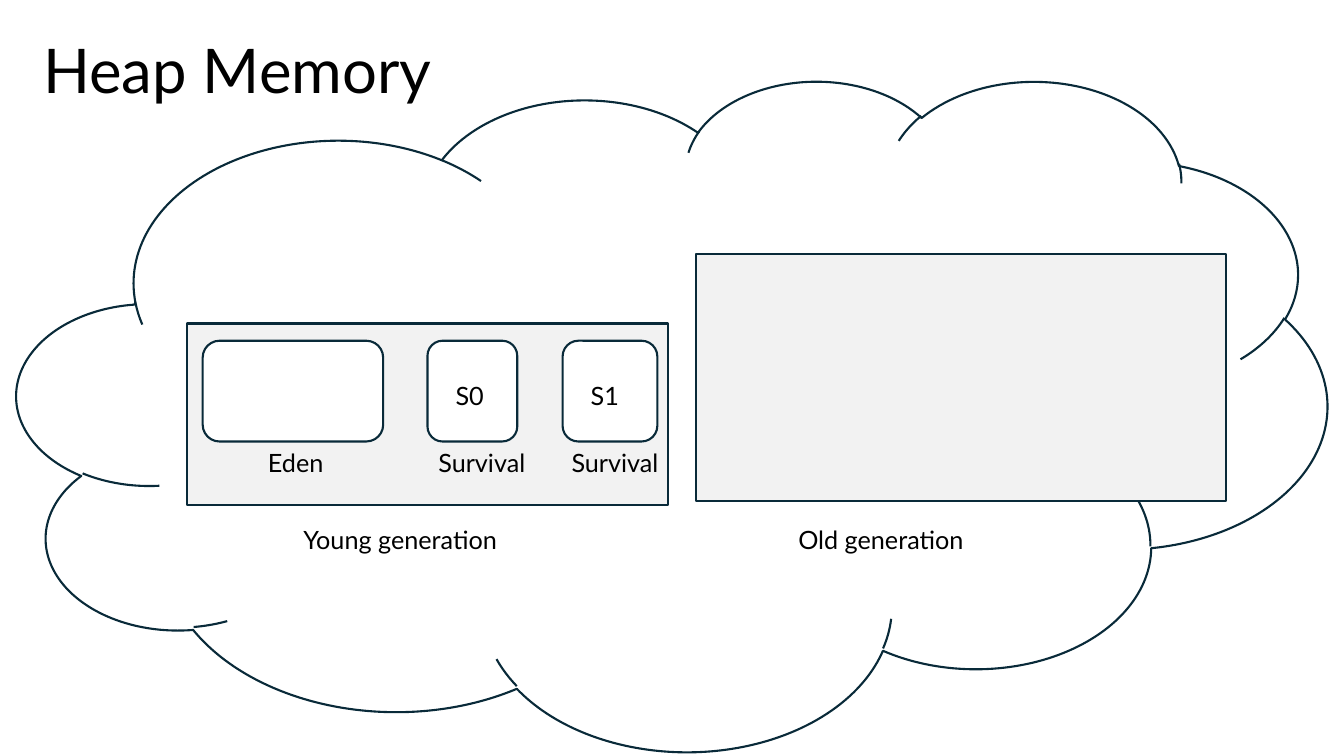
from dataclasses import dataclass

import pptx
import pptx.dml.color
import pptx.enum.shapes
import pptx.enum.text
import pptx.util

SHAPES = pptx.enum.shapes.MSO_SHAPE
ANCHORS = pptx.enum.text.MSO_ANCHOR


@dataclass(frozen=True)
class Theme:
    font: str = "Lato"
    text: str = "000000"
    outline: str = "092A39"
    paper: str = "FFFFFF"
    region: str = "F2F2F2"
    title_size: int = 44
    label_size: int = 18
    outline_width: float = 1.5


class SlideBuilder:
    GRID_COLUMNS = 100
    GRID_ROWS = 100

    def __init__(self, presentation, theme):
        self.theme = theme
        self.column = presentation.slide_width / self.GRID_COLUMNS
        self.row = presentation.slide_height / self.GRID_ROWS
        self.slide = presentation.slides.add_slide(presentation.slide_layouts[6])

    def place(self, left, top, width, height):
        return (
            round(left * self.column),
            round(top * self.row),
            round(width * self.column),
            round(height * self.row),
        )

    def color(self, value):
        return pptx.dml.color.RGBColor.from_string(value)

    def outlined(self, kind, box, fill):
        shape = self.slide.shapes.add_shape(kind, *self.place(*box))
        shape.shadow.inherit = False
        shape.fill.solid()
        shape.fill.fore_color.rgb = self.color(fill)
        shape.line.color.rgb = self.color(self.theme.outline)
        shape.line.width = pptx.util.Pt(self.theme.outline_width)

    def text(self, content, box, size, anchor=ANCHORS.TOP, line_spacing=1.0):
        frame = self.slide.shapes.add_textbox(*self.place(*box)).text_frame
        frame.word_wrap = True
        frame.vertical_anchor = anchor
        paragraph = frame.paragraphs[0]
        paragraph.line_spacing = line_spacing
        run = paragraph.add_run()
        run.text = content
        run.font.name = self.theme.font
        run.font.size = pptx.util.Pt(size)
        run.font.color.rgb = self.color(self.theme.text)

    def title(self, content, box):
        self.text(content, box, self.theme.title_size, ANCHORS.MIDDLE, 0.9)

    def label(self, content, left, top):
        self.text(content, (left, top, 22.5, 5.33), self.theme.label_size)


def main():
    presentation = pptx.Presentation()
    presentation.slide_width = pptx.util.Inches(13.33)
    presentation.slide_height = pptx.util.Inches(7.5)
    theme = Theme()
    builder = SlideBuilder(presentation, theme)

    builder.outlined(SHAPES.CLOUD, (1.28, 10.53, 97.45, 88.67), theme.paper)
    builder.title("Heap Memory", (2.48, 0.13, 86.27, 19.33))

    young_region = (13.95, 42.8, 35.78, 24)
    old_region = (51.76, 33.6, 39.46, 32.67)
    for region in (young_region, old_region):
        builder.outlined(SHAPES.RECTANGLE, region, theme.region)

    space_top, space_height = 45.07, 13.33
    for left, width in ((15.08, 13.43), (31.81, 6.68), (41.86, 7.05)):
        box = (left, space_top, width, space_height)
        builder.outlined(SHAPES.ROUNDED_RECTANGLE, box, theme.paper)

    label_rows = {
        68.67: (("Young generation", 21.83), ("Old generation", 58.66)),
        58.53: (("Eden", 19.2), ("Survival", 31.88), ("Survival", 41.79)),
        49.6: (("S0", 33.16), ("S1", 43.21)),
    }
    for top, labels in label_rows.items():
        for content, left in labels:
            builder.label(content, left, top)

    presentation.save("out.pptx")


if __name__ == "__main__":
    main()
